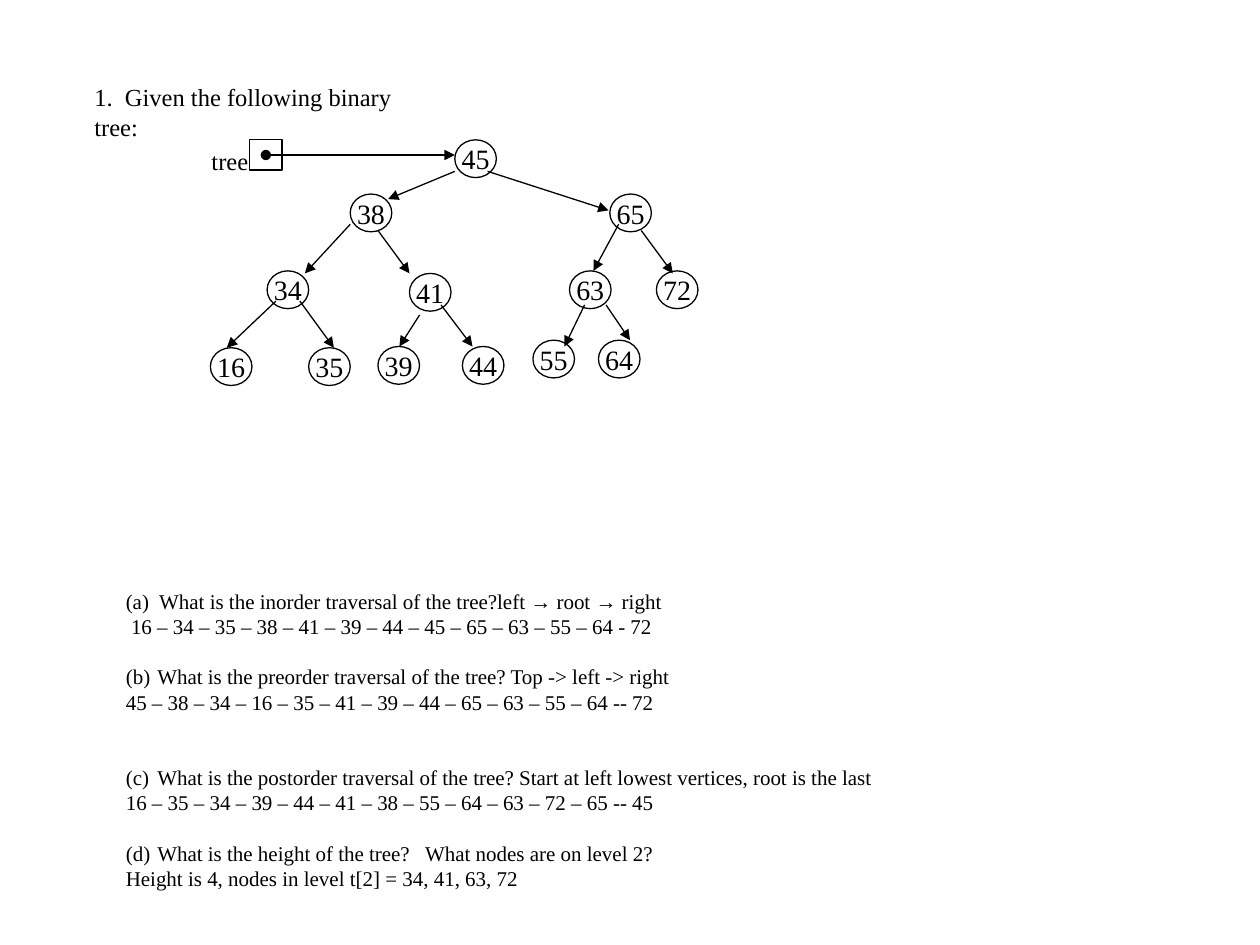
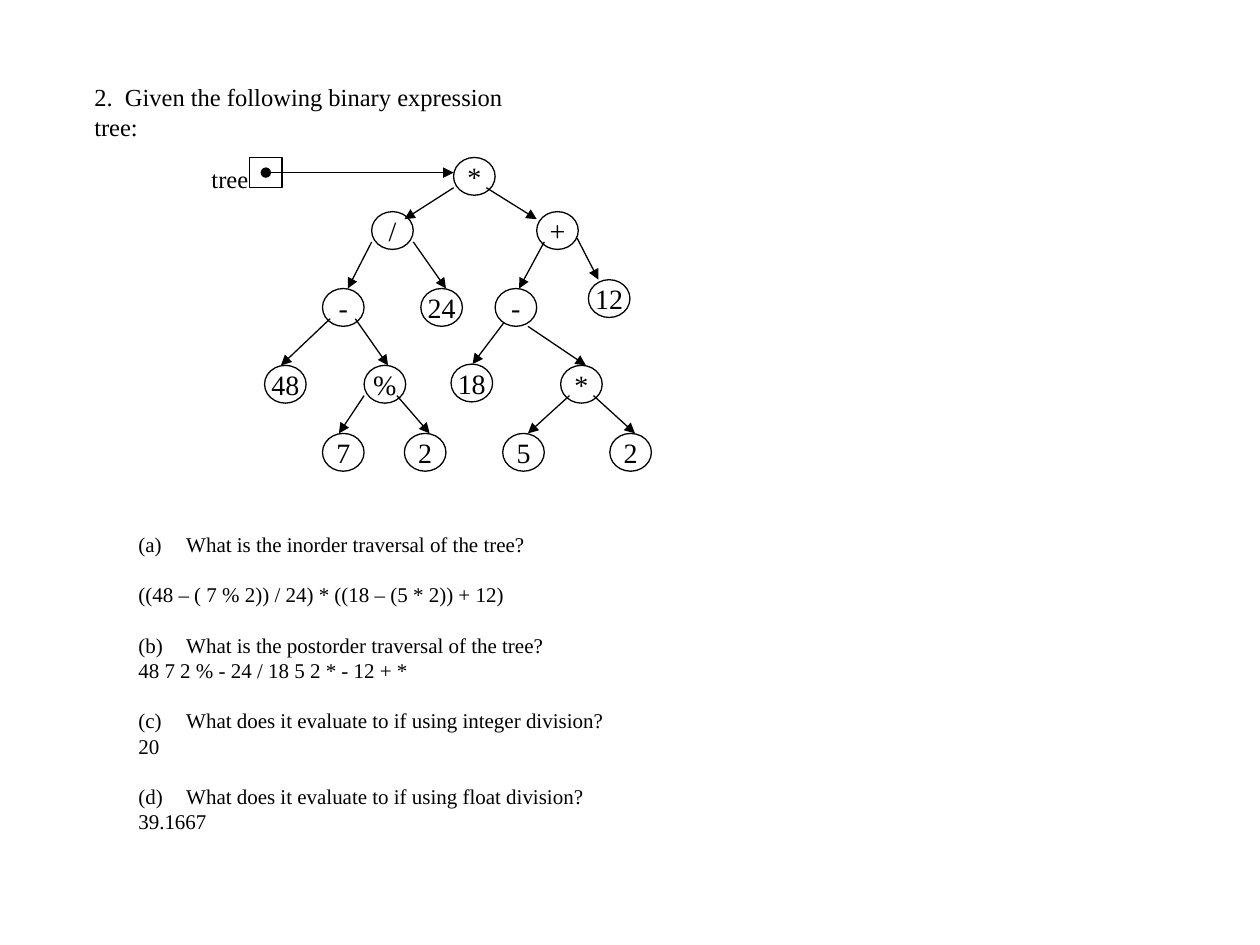
"""Builds two worksheet slides on binary trees and their traversals."""
import pptx
import pptx.dml.color
import pptx.enum.shapes
import pptx.enum.text
import pptx.oxml.ns
import pptx.util
from lxml import etree

# Each node: label, left, top, incoming arrow (from x, from y, to x, to y).
# Each line: text, number in the (a) list or None, blank lines above.
SLIDES = [
    {
        "title": "1.  Given the following binary tree:",
        "title_width": 2.95,
        "nodes": [
            ("45", 3.61, 1.11, None),
            ("38", 2.78, 1.54, (3.61, 1.36, 3.08, 1.58)),
            ("65", 4.84, 1.54, (3.87, 1.36, 4.83, 1.67)),
            ("34", 2.12, 2.15, (2.78, 1.78, 2.42, 2.17)),
            ("41", 3.25, 2.17, (3, 1.83, 3.25, 2.17)),
            ("63", 4.52, 2.15, (4.91, 1.78, 4.71, 2.15)),
            ("72", 5.21, 2.15, (5.09, 1.83, 5.34, 2.17)),
            ("16", 1.67, 2.76, (2.19, 2.39, 1.8, 2.76)),
            ("35", 2.45, 2.76, (2.38, 2.39, 2.65, 2.76)),
            ("39", 3, 2.75, (3.33, 2.5, 3.17, 2.75)),
            ("44", 3.67, 2.75, (3.5, 2.42, 3.75, 2.75)),
            ("55", 4.23, 2.7, (4.64, 2.42, 4.48, 2.75)),
            ("64", 4.75, 2.7, (4.81, 2.42, 5, 2.7)),
        ],
        "questions_at": (0.9, 4.62, 6.21, 2.73),
        "indent": 0.25,
        "lines": [
            ("(a)  What is the inorder traversal of the tree?left → root → right", None, 0),
            (" 16 – 34 – 35 – 38 – 41 – 39 – 44 – 45 – 65 – 63 – 55 – 64 - 72", None, 0),
            ("What is the preorder traversal of the tree? Top -> left -> right", 2, 1),
            ("45 – 38 – 34 – 16 – 35 – 41 – 39 – 44 – 65 – 63 – 55 – 64 -- 72", None, 0),
            ("What is the postorder traversal of the tree? "
             "Start at left lowest vertices, root is the last", 3, 2),
            ("16 – 35 – 34 – 39 – 44 – 41 – 38 – 55 – 64 – 63 – 72 – 65 -- 45", None, 0),
            ("What is the height of the tree?   What nodes are on level 2?", 4, 1),
            ("Height is 4, nodes in level t[2] = 34, 41, 63, 72", None, 0),
        ],
    },
    {
        "title": "2.  Given the following binary expression tree:",
        "title_width": 3.83,
        "nodes": [
            ("*", 3.6, 1.25, None),
            ("/", 2.95, 1.68, (3.6, 1.49, 3.21, 1.74)),
            ("+", 4.26, 1.68, (3.86, 1.49, 4.26, 1.74)),
            ("-", 2.56, 2.29, (2.95, 1.92, 2.76, 2.29)),
            ("24", 3.34, 2.29, (3.28, 1.92, 3.54, 2.29)),
            ("-", 3.93, 2.29, (4.32, 1.92, 4.12, 2.29)),
            ("12", 4.67, 2.22, (4.58, 1.89, 4.75, 2.22)),
            ("48", 2.1, 2.9, (2.62, 2.53, 2.23, 2.9)),
            ("%", 2.89, 2.9, (2.82, 2.53, 3.08, 2.9)),
            ("18", 3.58, 2.89, (4, 2.56, 3.75, 2.89)),
            ("*", 4.45, 2.9, (4.19, 2.59, 4.65, 2.9)),
            ("7", 2.56, 3.44, (2.89, 3.14, 2.69, 3.44)),
            ("2", 3.21, 3.44, (3.15, 3.14, 3.41, 3.44)),
            ("5", 3.99, 3.44, (4.52, 3.14, 4.19, 3.44)),
            ("2", 4.84, 3.44, (4.71, 3.14, 5.04, 3.44)),
        ],
        "questions_at": (1, 4.17, 3.94, 3.13),
        "indent": 0.38,
        "lines": [
            ("What is the inorder traversal of the tree?", 1, 0),
            ("((48 – ( 7 % 2)) / 24) * ((18 – (5 * 2)) + 12)", None, 1),
            ("What is the postorder traversal of the tree?", 2, 1),
            ("48 7 2 % - 24 / 18 5 2 * - 12 + *", None, 0),
            ("What does it evaluate to if using integer division?", 3, 1),
            ("20", None, 0),
            ("What does it evaluate to if using float division?", 4, 1),
            ("39.1667", None, 0),
        ],
    },
]

FONT, INK = "Times New Roman", "000000"
TITLE_SIZE, NODE_SIZE, BODY_SIZE = 14, 16, 12
TITLE_SPACING, BODY_SPACING = 17.1, 14.4
LINE_WIDTH = 0.75
NODE = (0.33, 0.3)
POINTER_LEFT, POINTER = 1.98, (0.26, 0.24)
SHAPES = pptx.enum.shapes.MSO_SHAPE


def inches(values):
    return [pptx.util.Inches(value) for value in values]


def color(hex_string):
    return pptx.dml.color.RGBColor.from_string(hex_string)


def add_element(parent, tag, **attributes):
    return etree.SubElement(parent, pptx.oxml.ns.qn(tag), **attributes)


def style_font(paragraph, size):
    paragraph.font.name = FONT
    paragraph.font.size = pptx.util.Pt(size)
    paragraph.font.color.rgb = color(INK)


def style_line(line):
    line.color.rgb = color(INK)
    line.width = pptx.util.Pt(LINE_WIDTH)


def add_text(slide, box, lines, size, spacing=None, indent=0, wrap=True):
    frame = slide.shapes.add_textbox(*inches(box)).text_frame
    frame.word_wrap = wrap
    for index, (text, number, blanks) in enumerate(lines):
        paragraph = frame.add_paragraph() if index else frame.paragraphs[0]
        paragraph.text = text
        style_font(paragraph, size)
        if spacing:
            paragraph.line_spacing = pptx.util.Pt(spacing)
        if blanks:
            paragraph.space_before = pptx.util.Pt(blanks * spacing)
        if number:
            properties = paragraph._p.get_or_add_pPr()
            margin = pptx.util.Inches(indent)
            properties.set("marL", str(margin))
            properties.set("indent", str(-margin))
            add_element(properties, "a:buFont", typeface=FONT)
            add_element(properties, "a:buAutoNum", type="alphaLcParenBoth", startAt=str(number))


def add_outline(slide, kind, left, top, size, label=""):
    shape = slide.shapes.add_shape(kind, *inches((left, top, *size)))
    shape.shadow.inherit = False
    shape.fill.background()
    style_line(shape.line)
    if label:
        frame = shape.text_frame
        frame.margin_left = frame.margin_right = frame.margin_top = frame.margin_bottom = 0
        frame.word_wrap = False
        frame.vertical_anchor = pptx.enum.text.MSO_ANCHOR.MIDDLE
        paragraph = frame.paragraphs[0]
        paragraph.text = label
        paragraph.alignment = pptx.enum.text.PP_ALIGN.CENTER
        style_font(paragraph, NODE_SIZE)


def add_arrow(slide, ends, oval_start=False):
    connector = slide.shapes.add_connector(
        pptx.enum.shapes.MSO_CONNECTOR.STRAIGHT, *inches(ends))
    style_line(connector.line)
    line = connector.line._get_or_add_ln()
    if oval_start:
        add_element(line, "a:headEnd", type="oval")
    add_element(line, "a:tailEnd", type="triangle")
    add_element(connector._element.spPr, "a:effectLst")


def add_tree(slide, nodes):
    for label, left, top, arrow in nodes:
        add_outline(slide, SHAPES.OVAL, left, top, NODE, label)
        if arrow:
            add_arrow(slide, arrow)
    root_left, root_top = nodes[0][1:3]
    middle = root_top + POINTER[1] / 2
    add_outline(slide, SHAPES.RECTANGLE, POINTER_LEFT, root_top, POINTER)
    add_text(slide, (1.58, root_top, 0.49, 0.33), [("tree", None, 0)], TITLE_SIZE, wrap=False)
    add_arrow(slide, (POINTER_LEFT + POINTER[0] / 2, middle, root_left, middle), oval_start=True)


def main():
    presentation = pptx.Presentation()
    presentation.slide_width, presentation.slide_height = inches((10, 7.5))
    for content in SLIDES:
        slide = presentation.slides.add_slide(presentation.slide_layouts[6])
        add_text(slide, (0.65, 0.6, content["title_width"], 0.33),
                 [(content["title"], None, 0)], TITLE_SIZE, TITLE_SPACING)
        add_text(slide, content["questions_at"], content["lines"],
                 BODY_SIZE, BODY_SPACING, content["indent"])
        add_tree(slide, content["nodes"])
    presentation.save("out.pptx")


if __name__ == "__main__":
    main()
